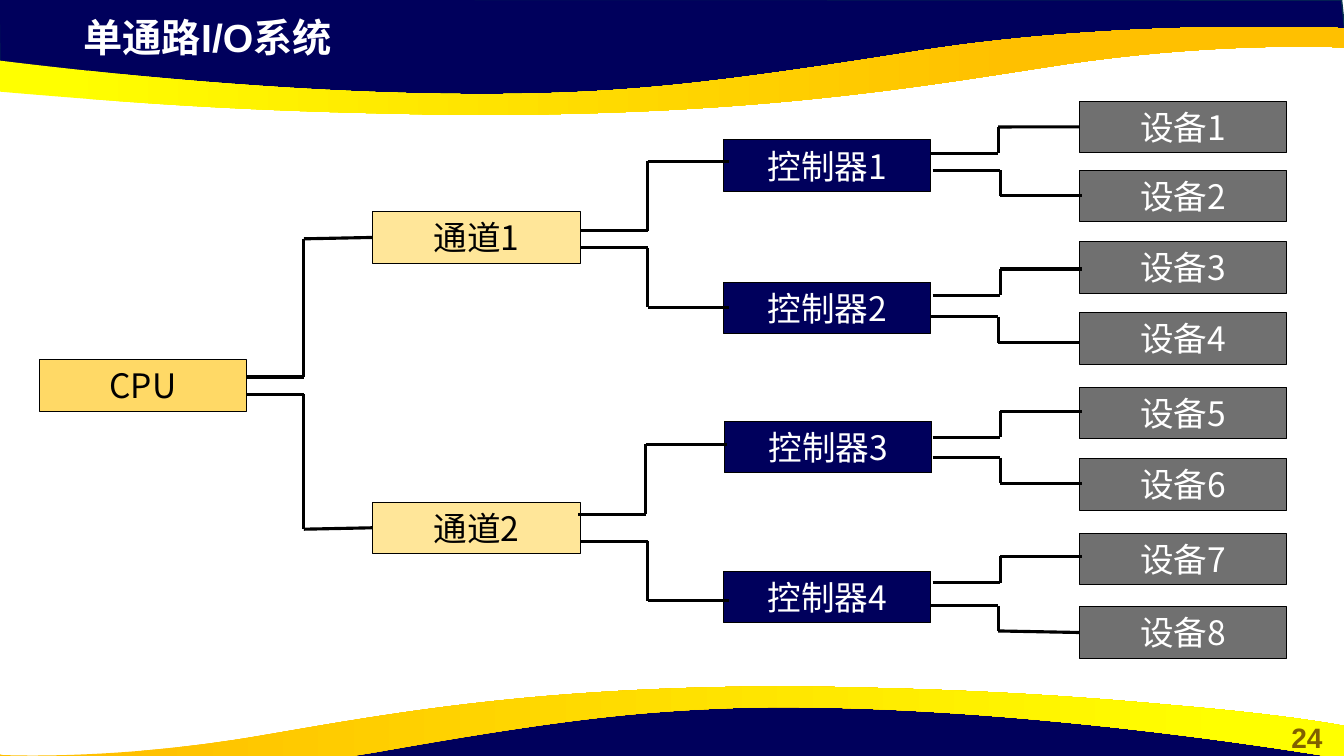
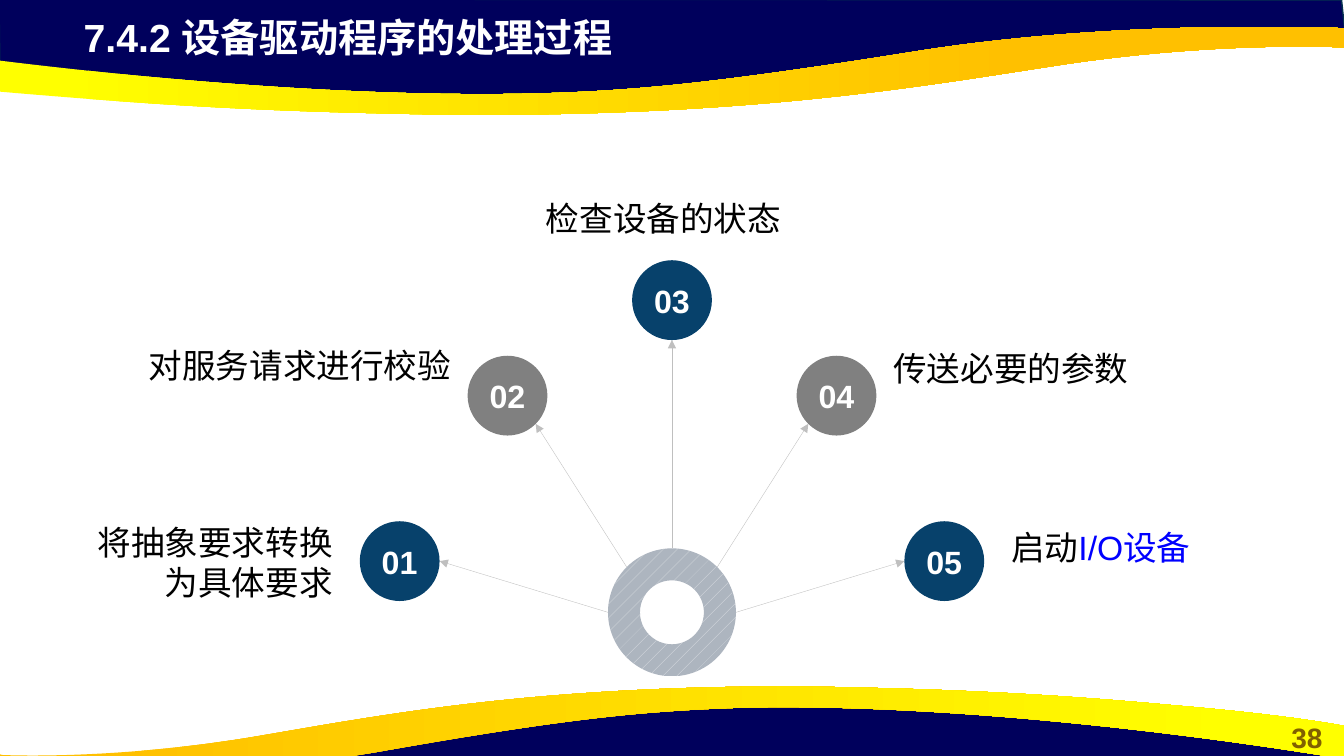
"""Build two lecture slides: an I/O channel tree and the steps of a device driver."""
from dataclasses import dataclass
from itertools import pairwise
from math import cos, radians, sin

from lxml import etree
from pptx import Presentation
from pptx.dml.color import RGBColor
from pptx.enum.dml import MSO_PATTERN
from pptx.enum.shapes import MSO_CONNECTOR, MSO_SHAPE
from pptx.enum.text import MSO_ANCHOR, MSO_AUTO_SIZE, PP_ALIGN
from pptx.oxml.ns import qn
from pptx.util import Pt

STRAIGHT = MSO_CONNECTOR.STRAIGHT
RECTANGLE, OVAL, DONUT = MSO_SHAPE.RECTANGLE, MSO_SHAPE.OVAL, MSO_SHAPE.DONUT
LEFT, CENTER, RIGHT = PP_ALIGN.LEFT, PP_ALIGN.CENTER, PP_ALIGN.RIGHT
TOP, MIDDLE = MSO_ANCHOR.TOP, MSO_ANCHOR.MIDDLE
NO_AUTOFIT = MSO_AUTO_SIZE.NONE
DOTTED = MSO_PATTERN.PERCENT_5

LATIN_FONT, CHINESE_FONT = "Arial", "Noto Sans CJK SC"
NAVY, EDGE, WHITE, BLACK = "00005C", "05304F", "FFFFFF", "000000"
ORANGE, YELLOW, PAGE_BROWN = "FFC000", "FFFF00", "806000"
STEP_BLUE, STEP_GREY, ARROW_GREY, LINK_BLUE = "07416B", "808080", "BFBFBF", "0000FF"

NODE_WIDTH, NODE_HEIGHT = 148, 36.8
LEVEL_LEFTS = (28, 266.4, 516.8, 771)
LEVEL_FILLS = ("FFD966", "FFE699", NAVY, "707070")
LEVEL_INKS = (BLACK, BLACK, WHITE, WHITE)
ROUTES = ((41, 49.7), (48.2, 58.3), (48.2, 58.3))
JOIN_REACH = 1.6

HUB_X, HUB_Y, HUB_RADIUS, STEP_RADIUS = 480, 437.4, 45.7, 28.5

TOP_NAVY = ((-0.7, -0.7), (0, 50.4), (211, 73.4), (402.5, 72), (572.4, 63.4),
            (731.5, 36), (891.4, 23.8), (961.2, 27.4), (958.3, 0))
BOTTOM_NAVY = ((960, 571.7), (959, 521.3), (748.8, 497.5), (556.6, 499), (387.4, 508.3),
               (228.2, 535), (68.4, 547.2), (-2.2, 544.3), (0.7, 571))
TOP_RIBBON = ((347.8, 82.1), (319, 82.1, 288.7, 81.4, 256.3, 80.6),
              (148.3, 77.8, 79.2, 72, 25.9, 67.7), (-63.4, 60.5, -93.6, 54, -95.8, 54),
              (-95.8, 30.2, -95.8, 30.2, -95.8, 30.2), (-95.8, 30.2, 157, 70.6, 372.2, 67),
              (450.7, 65.5, 509.8, 59.8, 658.8, 36), (807.1, 13, 960, 20.2, 960, 20.2),
              (960, 23), (960, 33.8), (957.6, 33.8), (939.6, 33.1, 860.4, 31, 759.6, 46.1),
              (661, 61.2, 548.6, 81.4, 347.8, 82.1))
BOTTOM_RIBBON = ((555.8, 490.3), (582.5, 490.3, 609.8, 491, 639.4, 491.8),
                 (738, 494.6, 800.6, 500.4, 848.9, 504.7), (930.2, 512, 957.6, 518.4, 960, 518.4),
                 (960, 542.2, 960, 542.2, 960, 542.2), (960, 542.2, 730, 501.8, 534.2, 505.4),
                 (462.2, 507.6, 408.2, 512.6, 273.6, 536.4), (138.2, 560.2, -0.7, 553, -0.7, 553),
                 (-0.7, 550), (-0.7, 538.6), (1.4, 539.3), (18, 540, 90, 541.4, 181.4, 526.3),
                 (270.7, 511.2, 373.7, 491, 555.8, 490.3))


@dataclass(frozen=True)
class Node:
    """A box of the tree, where its line comes in and where lines leave."""
    name: str
    top: float
    entry: float = 0
    shift: float = 0
    exits: tuple[float, ...] = ()
    children: tuple["Node", ...] = ()
    nudge: float = 0


@dataclass(frozen=True)
class Step:
    """A numbered circle around the hub and its label."""
    number: str
    x: float
    y: float
    angle: float
    fill: str
    label: tuple[tuple[str, str], ...]
    label_box: tuple[float, float, float, float]
    align: PP_ALIGN


IO_TREE = Node("CPU", 257, exits=(269.3, 281.5), children=(
    Node("通道1", 151.2, 170.6, 0, (164.9, 177.1), (
        Node("控制器1", 100, 115.2, 0, (109.4, 121.7), (
            Node("设备1", 72.2, 90.7), Node("设备2", 121.6, 139.7, 1.4))),
        Node("控制器2", 201.6, 219.6, 0, (211, 226.1), (
            Node("设备3", 172.6, 192.2, 1.4), Node("设备4", 223.4, 244.8))))),
    Node("通道2", 358.6, 378, 0, (367.2, 386.6), (
        Node("控制器3", 301, 317.5, -1.4, (312.5, 326.9), (
            Node("设备5", 276.6, 293.8, 1.4), Node("设备6", 327.6, 345.2, 1.4)), 0.8),
        Node("控制器4", 408.2, 429.1, 0, (416.2, 432.7), (
            Node("设备7", 380.9, 397.4, 1.4), Node("设备8", 433.4, 450.7)))))))

STEPS = (
    Step("01", 285.5, 400.8, 180, STEP_BLUE, (("将抽象要求转换为具体要求", BLACK),),
         (47.5, 369.2, 197.3, 64), RIGHT),
    Step("02", 362.5, 282.6, 135, STEP_GREY, (("对服务请求进行校验", BLACK),),
         (83.8, 242.6, 245.5, 40.3), RIGHT),
    Step("03", 480, 214.4, 90, STEP_BLUE, (("检查设备的状态", BLACK),),
         (371, 137.5, 206, 36), CENTER),
    Step("04", 597.5, 282.6, 45, STEP_GREY, (("传送必要的参数", BLACK),),
         (631, 244.8, 196.6, 32.4), LEFT),
    Step("05", 674.5, 400.8, 0, STEP_BLUE, (("启动", BLACK), ("I/O设备", LINK_BLUE)),
         (715.3, 372.6, 196.6, 32.4), LEFT),
)


def rgb(value: str) -> RGBColor:
    """Turn a hex string into a colour."""
    return RGBColor.from_string(value)


def write(shape, runs, size, align=CENTER, bold=False, anchor=MIDDLE, font=LATIN_FONT, wrap=True):
    """Fill a shape with one paragraph of (text, colour) runs."""
    frame = shape.text_frame
    frame.auto_size = NO_AUTOFIT
    frame.word_wrap = wrap
    frame.vertical_anchor = anchor
    paragraph = frame.paragraphs[0]
    paragraph.alignment = align
    paragraph.font.name = font
    paragraph.font.size = Pt(size)
    paragraph.font.bold = bold
    colours = {colour for _, colour in runs}
    if len(colours) == 1:
        paragraph.font.color.rgb = rgb(runs[0][1])
    for text, colour in runs:
        run = paragraph.add_run()
        run.text = text
        if len(colours) > 1:
            run.font.color.rgb = rgb(colour)


def add_figure(slide, kind, left, top, width, height, fill=None):
    """Add a flat preset shape without outline."""
    figure = slide.shapes.add_shape(kind, Pt(left), Pt(top), Pt(width), Pt(height))
    figure.shadow.inherit = False
    figure.line.fill.background()
    if fill:
        figure.fill.solid()
        figure.fill.fore_color.rgb = rgb(fill)
    return figure


def add_line(slide, start, end, colour, weight, arrow=False):
    """Draw a straight connector between two points."""
    connector = slide.shapes.add_connector(STRAIGHT, *(Pt(v) for v in (*start, *end)))
    connector.line.color.rgb = rgb(colour)
    connector.line.width = Pt(weight)
    properties = connector.element.spPr
    if arrow:
        etree.SubElement(properties.find(qn("a:ln")), qn("a:tailEnd"), type="triangle")
    etree.SubElement(properties, qn("a:effectLst"))
    return connector


def add_textbox(slide, left, top, width, height):
    """Add an empty text box."""
    return slide.shapes.add_textbox(Pt(left), Pt(top), Pt(width), Pt(height))


def add_band(slide, outline):
    """Draw a closed outline of points and cubic curves without shadow."""
    vertices = [(Pt(x), Pt(y)) for part in outline for x, y in zip(part[::2], part[1::2])]
    builder = slide.shapes.build_freeform(*vertices[0])
    builder.add_line_segments(vertices[1:], close=True)
    band = builder.convert_to_shape()
    band.shadow.inherit = False
    segments = iter(list(band.element.iter(qn("a:lnTo"))))
    for part in outline[1:]:
        segment = next(segments)
        if len(part) == 6:
            curve = etree.Element(qn("a:cubicBezTo"))
            segment.addprevious(curve)
            for piece in (segment, next(segments), next(segments)):
                curve.append(piece[0])
                piece.getparent().remove(piece)
    return band


def add_navy(slide, outline):
    """Draw a navy band."""
    band = add_band(slide, outline)
    band.fill.solid()
    band.fill.fore_color.rgb = rgb(NAVY)
    band.line.color.rgb = rgb(EDGE)
    band.line.width = Pt(1)
    return band


def add_ribbon(slide, outline, stops):
    """Draw a ribbon with a gradient from left to right."""
    band = add_band(slide, outline)
    band.line.fill.background()
    band.fill.gradient()
    band.fill.gradient_angle = 0
    for stop, (position, colour) in zip(band.fill.gradient_stops, stops):
        stop.position = position
        stop.color.rgb = rgb(colour)
    return band


def decorate_layout(layout, slide):
    """Draw the bands and move them to the shared layout."""
    bands = (add_navy(slide, TOP_NAVY),
             add_ribbon(slide, TOP_RIBBON, ((0.13, YELLOW), (0.78, ORANGE))),
             add_navy(slide, BOTTOM_NAVY),
             add_ribbon(slide, BOTTOM_RIBBON, ((0.08, ORANGE), (0.92, YELLOW))))
    for band in bands:
        layout.shapes.element.append(band.element)


def add_heading(slide, title, page):
    """Write the title and the page number."""
    heading = slide.shapes.title
    heading.left, heading.top, heading.width, heading.height = map(Pt, (52.6, 6, 553, 41))
    write(heading, ((title, WHITE),), 28, LEFT, bold=True)
    write(add_textbox(slide, 907.2, 510.8, 52.6, 31.7), ((page, PAGE_BROWN),), 20,
          bold=True, anchor=TOP)


def draw_node(slide, node: Node, level=0):
    """Draw a box, its subtree and the lines to its children."""
    left = LEVEL_LEFTS[level] + node.nudge
    box = add_figure(slide, RECTANGLE, left, node.top, NODE_WIDTH, NODE_HEIGHT, LEVEL_FILLS[level])
    box.line.color.rgb = rgb(BLACK)
    box.line.width = Pt(0.75)
    write(box, ((node.name, LEVEL_INKS[level]),), 24, font=CHINESE_FONT, wrap=False)
    for exit_y, child in zip(node.exits, node.children):
        child_box = draw_node(slide, child, level + 1)
        start = LEVEL_LEFTS[level] + NODE_WIDTH + child.shift
        bend = start + ROUTES[level][0]
        end = bend + ROUTES[level][1]
        corners = ((start, exit_y), (bend, exit_y), (bend, child.entry), (end, child.entry))
        lines = [add_line(slide, a, b, BLACK, 2.25) for a, b in pairwise(corners)]
        middle = child.top + NODE_HEIGHT / 2
        child_left = LEVEL_LEFTS[level + 1] + child.nudge
        if max(abs(child.entry - middle), abs(end - child_left)) < JOIN_REACH:
            lines[-1].end_connect(child_box, 1)
    return box


def draw_step(slide, step: Step):
    """Draw a numbered circle, its arrow from the hub and its label."""
    across, up = cos(radians(step.angle)), sin(radians(step.angle))
    add_line(slide, (HUB_X + HUB_RADIUS * across, HUB_Y - HUB_RADIUS * up),
             (step.x - STEP_RADIUS * across, step.y + STEP_RADIUS * up),
             ARROW_GREY, 0.25, arrow=True)
    circle = add_figure(slide, OVAL, step.x - STEP_RADIUS, step.y - STEP_RADIUS,
                        2 * STEP_RADIUS, 2 * STEP_RADIUS, step.fill)
    write(circle, ((step.number, WHITE),), 23, bold=True, wrap=False)
    write(add_textbox(slide, *step.label_box), step.label, 24, step.align, anchor=TOP)


def draw_hub(slide):
    """Draw the patterned ring in the middle."""
    hub = add_figure(slide, DONUT, HUB_X - HUB_RADIUS, HUB_Y - HUB_RADIUS,
                     2 * HUB_RADIUS, 2 * HUB_RADIUS)
    hub.fill.patterned()
    hub.fill.pattern = DOTTED
    hub.fill.fore_color.rgb = rgb("E4E6EA")
    hub.fill.back_color.rgb = rgb("ADB5BF")


def main():
    """Build and save the presentation."""
    deck = Presentation()
    deck.slide_width, deck.slide_height = Pt(960), Pt(540)
    layout = deck.slide_layouts[5]
    tree_slide, steps_slide = (deck.slides.add_slide(layout) for _ in range(2))
    decorate_layout(layout, tree_slide)

    add_heading(tree_slide, "单通路I/O系统", "24")
    draw_node(tree_slide, IO_TREE)

    add_heading(steps_slide, "7.4.2 设备驱动程序的处理过程", "38")
    draw_hub(steps_slide)
    for step in STEPS:
        draw_step(steps_slide, step)

    deck.save("out.pptx")


if __name__ == "__main__":
    main()
